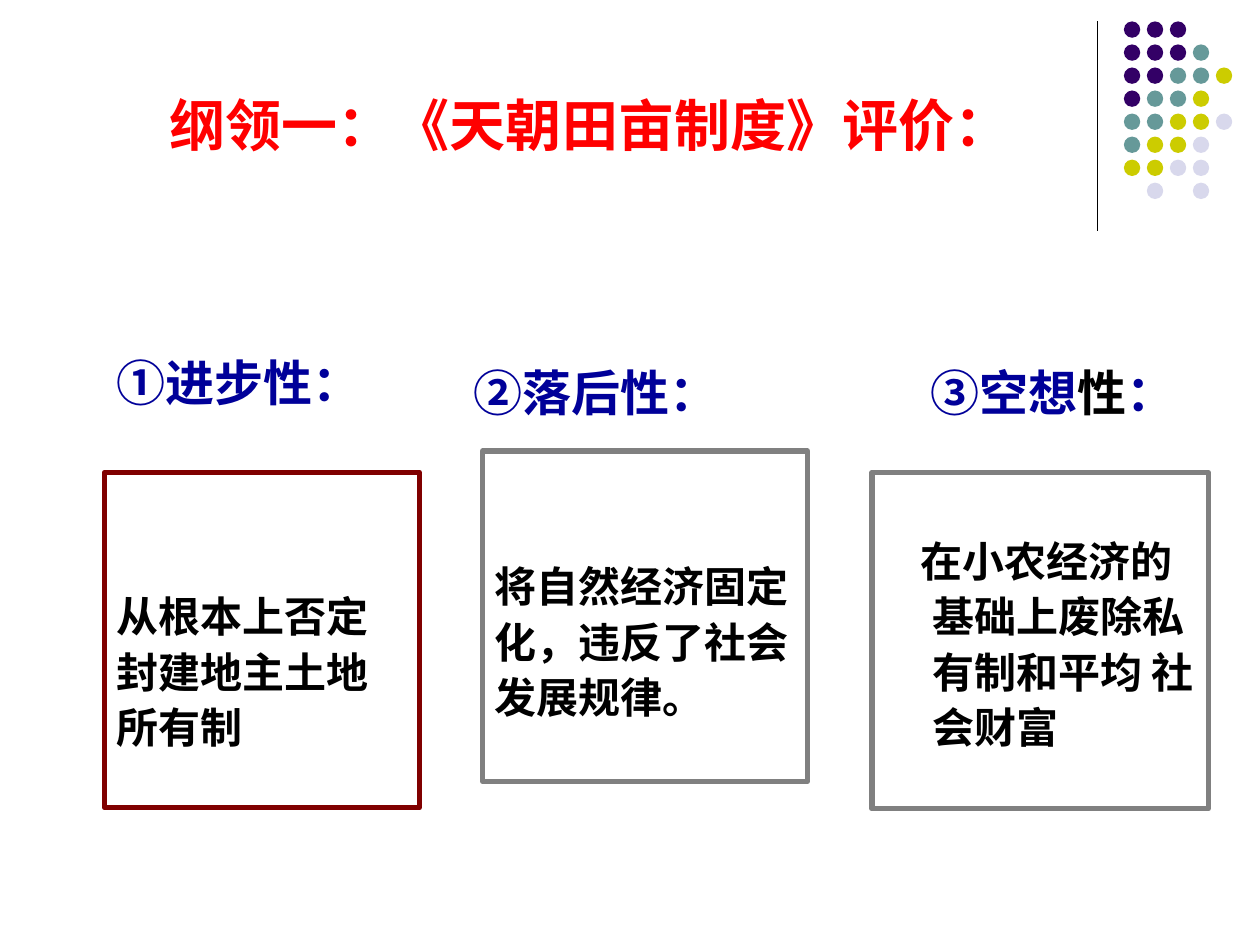
from typing import NamedTuple

from lxml.etree import SubElement
from pptx import Presentation
from pptx.dml.color import RGBColor
from pptx.enum.shapes import MSO_CONNECTOR as Connector, MSO_SHAPE as Shape
from pptx.enum.text import MSO_ANCHOR as Anchor, PP_ALIGN as Align
from pptx.oxml.ns import qn
from pptx.util import Inches, Pt

COLORS = {
    "black": "000000", "red": "FF0000", "navy": "000099", "maroon": "800000",
    "gray": "808080", "purple": "330066", "teal": "669999", "olive": "CCCC00",
    "lavender": "D8D8EC",
}
CJK_FONT = "Noto Sans CJK SC"
DOT_COLORS = {"P": "purple", "T": "teal", "O": "olive", "L": "lavender"}
DOT_ROWS = ["PPP", "PPPT", "PPTTO", "PTTO", "TTOOL", "TOOL", "OOLL", ".L.L"]
DOT_LEFT, DOT_TOP, DOT_SIZE = 8.92, 0.17, 0.13
COLUMN_STEP, ROW_STEP = 0.73 / 4, 1.28 / 7


class Phrase(NamedTuple):
    text: str
    font: str
    color: str


class Passage(NamedTuple):
    at: tuple[float, float, float, float]
    phrases: list[Phrase]
    size: int
    spacing: float = 1.2
    top_inset: float = 0.05
    margin: float = 0
    indent: float = 0
    border: str = ""


TITLE = Passage((1.25, 0.67, 6.67, 0.64), [
    Phrase("纲领一：《天朝田亩制度》", "Arial", "red"), Phrase("评价：", CJK_FONT, "red"),
], 32)
HEADINGS = [
    Passage((0.83, 2.75, 2.76, 0.57), [Phrase("①进步性：", "Times New Roman", "navy")], 28),
    Passage((3.58, 2.83, 3.15, 0.57), [Phrase("②落后性：", "Times New Roman", "navy")], 28,
            margin=0.08),
    Passage((6.85, 2.83, 3.15, 0.57), [
        Phrase("③空想", "Times New Roman", "navy"), Phrase("性", "Arial", "black"),
        Phrase("：", "Times New Roman", "navy"),
    ], 28, margin=0.44),
]
EVALUATIONS = [
    Passage((0.83, 3.75, 2.5, 2.66),
            [Phrase("从根本上否定封建地主土地所有制", "Arial", "black")],
            24, 1.32, 0.9, border="maroon"),
    Passage((3.83, 3.58, 2.58, 2.62),
            [Phrase("将自然经济固定化，违反了社会发展规律。", CJK_FONT, "black")],
            24, 1.32, 0.83, border="gray"),
    Passage((6.92, 3.75, 2.67, 2.67),
            [Phrase("在小农经济的基础上废除私有制和平均 社会财富", "Arial", "black")],
            24, 1.32, 0.46, 0.38, -0.09, "gray"),
]


def rgb(name: str) -> RGBColor:
    """Return the named colour."""
    return RGBColor.from_string(COLORS[name])


def draw_passage(slide, passage: Passage) -> None:
    """Draw a block of text, framed if it has a border."""
    place = [Inches(length) for length in passage.at]
    if passage.border:
        block = slide.shapes.add_shape(Shape.RECTANGLE, *place)
        block.shadow.inherit = False
        block.fill.background()
        block.line.color.rgb = rgb(passage.border)
        block.line.width = Pt(3)
    else:
        block = slide.shapes.add_textbox(*place)
    frame = block.text_frame
    frame.word_wrap = True
    frame.vertical_anchor = Anchor.TOP
    frame.margin_top = Inches(passage.top_inset)
    paragraph = frame.paragraphs[0]
    paragraph.alignment = Align.LEFT
    paragraph.line_spacing = Pt(passage.size * passage.spacing)
    properties = paragraph._p.get_or_add_pPr()
    properties.set("marL", str(Inches(passage.margin)))
    properties.set("indent", str(Inches(passage.indent)))
    for phrase in passage.phrases:
        run = paragraph.add_run()
        run.text = phrase.text
        run.font.name = phrase.font
        run.font.size = Pt(passage.size)
        run.font.bold = True
        run.font.color.rgb = rgb(phrase.color)
        SubElement(run.font._element, qn("a:ea")).set("typeface", CJK_FONT)


def draw_dots(slide) -> None:
    """Draw the corner pattern of dots and the line beside it."""
    divider = slide.shapes.add_connector(
        Connector.STRAIGHT, Inches(8.71), Inches(0.17), Inches(8.71), Inches(1.83))
    divider.line.color.rgb = rgb("black")
    divider.line.width = Pt(0.75)
    SubElement(divider._element.spPr, qn("a:effectLst"))
    for row, codes in enumerate(DOT_ROWS):
        for column, code in enumerate(codes):
            if code not in DOT_COLORS:
                continue
            dot = slide.shapes.add_shape(
                Shape.OVAL, Inches(DOT_LEFT + column * COLUMN_STEP),
                Inches(DOT_TOP + row * ROW_STEP), Inches(DOT_SIZE), Inches(DOT_SIZE))
            dot.shadow.inherit = False
            dot.fill.solid()
            dot.fill.fore_color.rgb = rgb(DOT_COLORS[code])
            dot.line.fill.background()


def main() -> None:
    """Build and save the slide."""
    deck = Presentation()
    deck.slide_width, deck.slide_height = Inches(10), Inches(7.5)
    slide = deck.slides.add_slide(deck.slide_layouts[6])
    draw_dots(slide)
    for passage in [TITLE, *HEADINGS, *EVALUATIONS]:
        draw_passage(slide, passage)
    deck.save("out.pptx")


if __name__ == "__main__":
    main()
